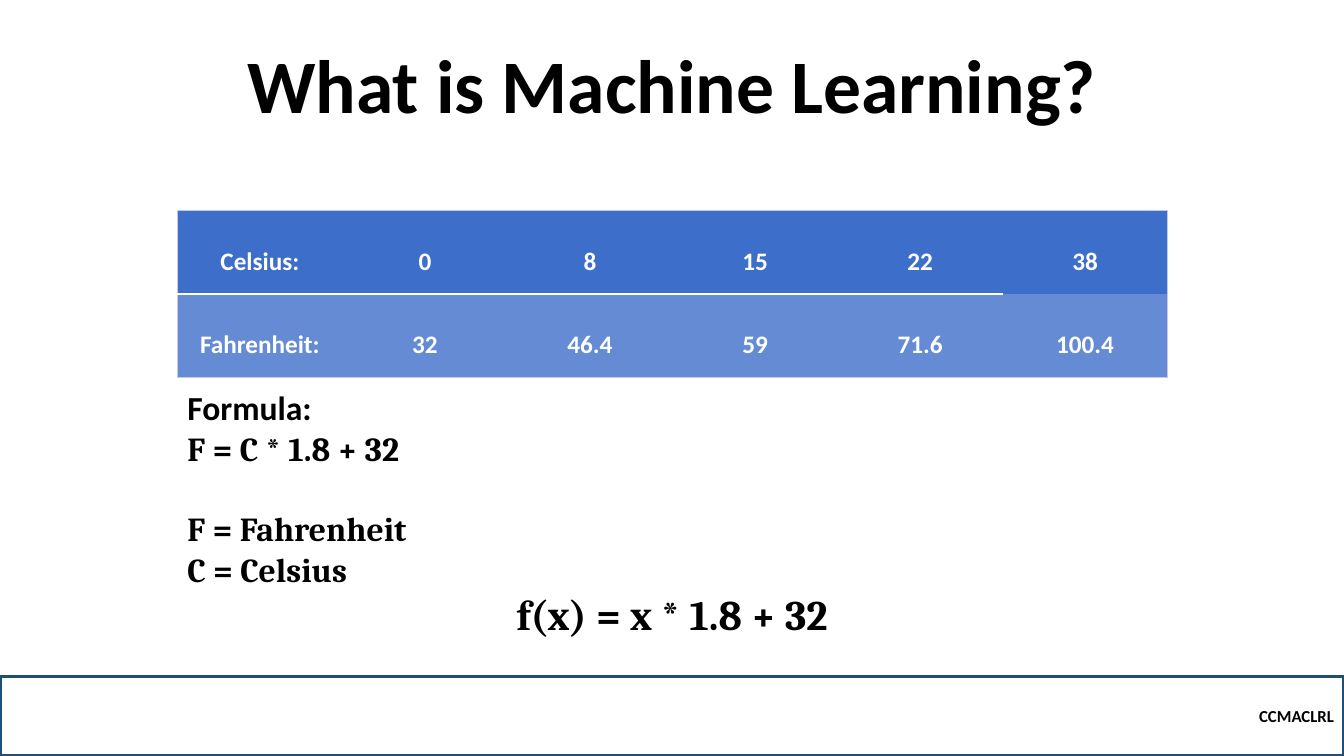
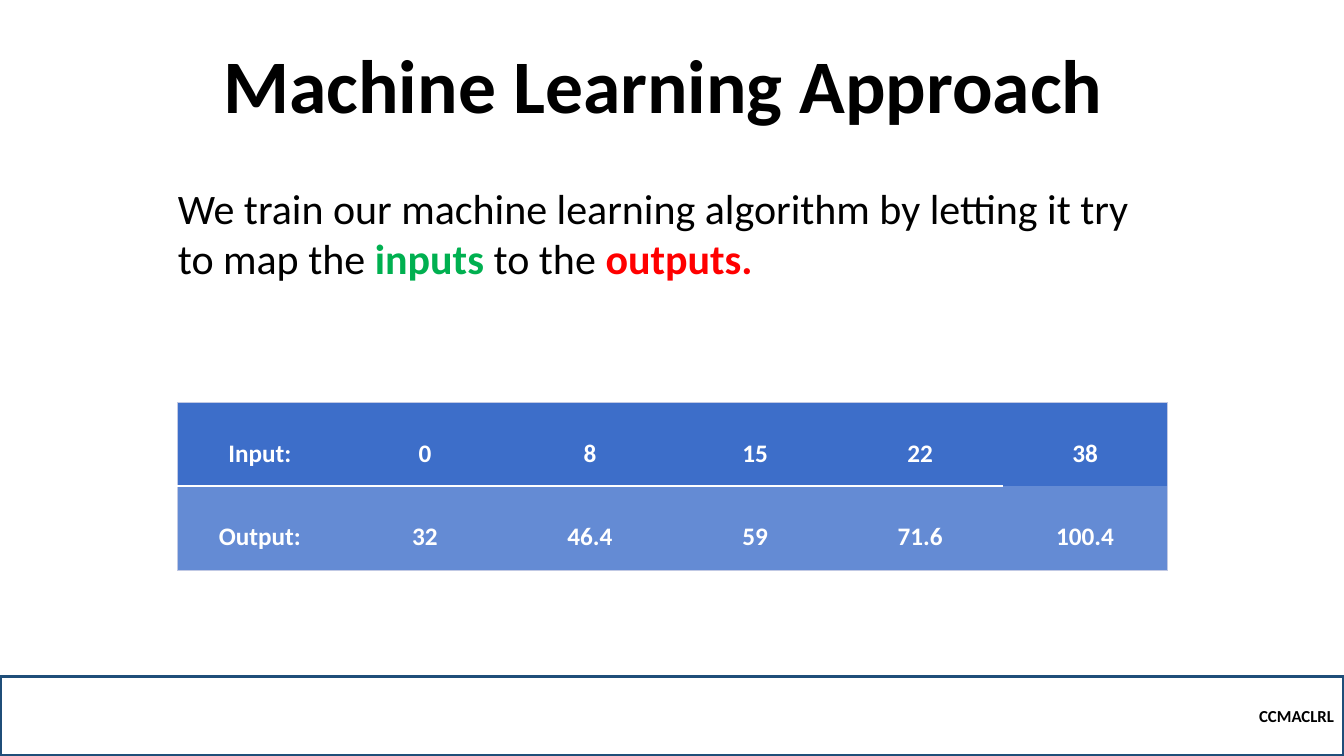
from lxml import etree
from pptx import Presentation
from pptx.dml.color import RGBColor
from pptx.enum import shapes, text
from pptx.oxml import ns
from pptx.util import Pt

COLORS = {
    "ink": "000000",
    "paper": "FFFFFF",
    "footer_line": "1F4E79",
    "table_top": "3D6EC9",
    "table_bottom": "648BD4",
    "table_edge": "C1C9E4",
    "input": "00B050",
    "output": "FF0000",
}
WIDTH, HEIGHT = 960, 540
TITLE_BOX = (120, 39, 720, 57)
FOOTER_BOX = (0, 483, WIDTH, 57)
INTRO_BOX = (120, 126.5, 720, 80)
FORMULA_BOX = (126.7, 273, 707, 225)
FIRST_TABLE_BOX = (126.7, 150.3, 707.4, 119.6)
SECOND_TABLE_BOX = (126.7, 287.5, 707.4, 119.6)
CELSIUS = ["0", "8", "15", "22", "38"]
FAHRENHEIT = ["32", "46.4", "59", "71.6", "100.4"]


def color(name):
    return RGBColor.from_string(COLORS[name])


def points(box):
    return [Pt(length) for length in box]


def add_run(paragraph, words, size=24, font="Calibri", fill="ink", bold=True):
    run = paragraph.add_run()
    run.text = words
    run.font.size = Pt(size)
    run.font.name = font
    run.font.bold = bold
    run.font.color.rgb = color(fill)


def write(frame, words, align="LEFT", spacing=None, before=0, **style):
    paragraph = frame.paragraphs[0]
    if paragraph.runs:
        paragraph = frame.add_paragraph()
    paragraph.alignment = getattr(text.PP_ALIGN, align)
    paragraph.line_spacing = spacing
    paragraph.space_before = Pt(before)
    parts = [(words, {})] if isinstance(words, str) else words
    for part, changes in parts:
        add_run(paragraph, part, **{**style, **changes})


def add_text_frame(slide, box):
    frame = slide.shapes.add_textbox(*points(box)).text_frame
    frame.word_wrap = True
    return frame


def add_title(slide, box, words):
    frame = add_text_frame(slide, box)
    frame.vertical_anchor = text.MSO_ANCHOR.BOTTOM
    write(frame, words, align="CENTER", spacing=0.9, size=54)


def add_footer(slide, box):
    footer = slide.shapes.add_shape(shapes.MSO_SHAPE.RECTANGLE, *points(box))
    footer.shadow.inherit = False
    footer.fill.background()
    footer.line.color.rgb = color("footer_line")
    footer.line.width = Pt(2.25)
    footer.text_frame.vertical_anchor = text.MSO_ANCHOR.MIDDLE
    write(footer.text_frame, "CCMACLRL", align="RIGHT", size=12)


def set_borders(cell, borders):
    properties = cell._tc.get_or_add_tcPr()
    for side in "LRTB":
        line = etree.SubElement(properties, ns.qn(f"a:ln{side}"))
        if side not in borders:
            etree.SubElement(line, ns.qn("a:noFill"))
            continue
        name, width = borders[side]
        line.set("w", str(Pt(width)))
        fill = etree.SubElement(line, ns.qn("a:solidFill"))
        etree.SubElement(fill, ns.qn("a:srgbClr"), val=COLORS[name])


def cell_borders(row, column, last_column):
    edge, divider = ("table_edge", 0.5), ("paper", 1.5)
    borders = {"T" if row == 0 else "B": edge}
    if column == 0:
        borders["L"] = edge
    if column == last_column:
        borders["R"] = edge
    else:
        borders["B" if row == 0 else "T"] = divider
    return borders


def add_value_table(slide, box, labels):
    rows = [[label, *values] for label, values in zip(labels, (CELSIUS, FAHRENHEIT))]
    count = len(rows[0])
    table = slide.shapes.add_table(len(rows), count, *points(box)).table
    table.first_row = table.horz_banding = False
    for column in table.columns:
        column.width = Pt(box[2] / count)
    for row in table.rows:
        row.height = Pt(box[3] / len(rows))
    for r, values in enumerate(rows):
        for c, value in enumerate(values):
            cell = table.cell(r, c)
            set_borders(cell, cell_borders(r, c, count - 1))
            cell.fill.solid()
            cell.fill.fore_color.rgb = color(("table_top", "table_bottom")[r])
            write(cell.text_frame, value, align="CENTER", spacing=2.0, size=18, fill="paper")


def add_formula(slide, box):
    frame = add_text_frame(slide, box)
    write(frame, "Formula:")
    write(frame, "F = C * 1.8 + 32", font="Cambria")
    write(frame, "F = Fahrenheit", font="Cambria", before=29)
    write(frame, "C = Celsius", font="Cambria")
    write(frame, "f(x) = x * 1.8 + 32", font="Cambria", size=30, align="CENTER")


def add_intro(slide, box):
    sentence = [
        ("We train our machine learning algorithm by letting it try to map the ", {}),
        ("inputs", {"fill": "input", "bold": True}),
        (" to the ", {}),
        ("outputs.", {"fill": "output", "bold": True}),
    ]
    write(add_text_frame(slide, box), sentence, size=30, bold=False)


def add_base_slide(presentation, title):
    slide = presentation.slides.add_slide(presentation.slide_layouts[6])
    add_title(slide, TITLE_BOX, title)
    add_footer(slide, FOOTER_BOX)
    return slide


def add_definition_slide(presentation):
    slide = add_base_slide(presentation, "What is Machine Learning?")
    add_value_table(slide, FIRST_TABLE_BOX, ("Celsius:", "Fahrenheit:"))
    add_formula(slide, FORMULA_BOX)


def add_approach_slide(presentation):
    slide = add_base_slide(presentation, "Machine Learning Approach ")
    add_intro(slide, INTRO_BOX)
    add_value_table(slide, SECOND_TABLE_BOX, ("Input:", "Output:"))


def main():
    presentation = Presentation()
    presentation.slide_width, presentation.slide_height = Pt(WIDTH), Pt(HEIGHT)
    add_definition_slide(presentation)
    add_approach_slide(presentation)
    presentation.save("out.pptx")


if __name__ == "__main__":
    main()
